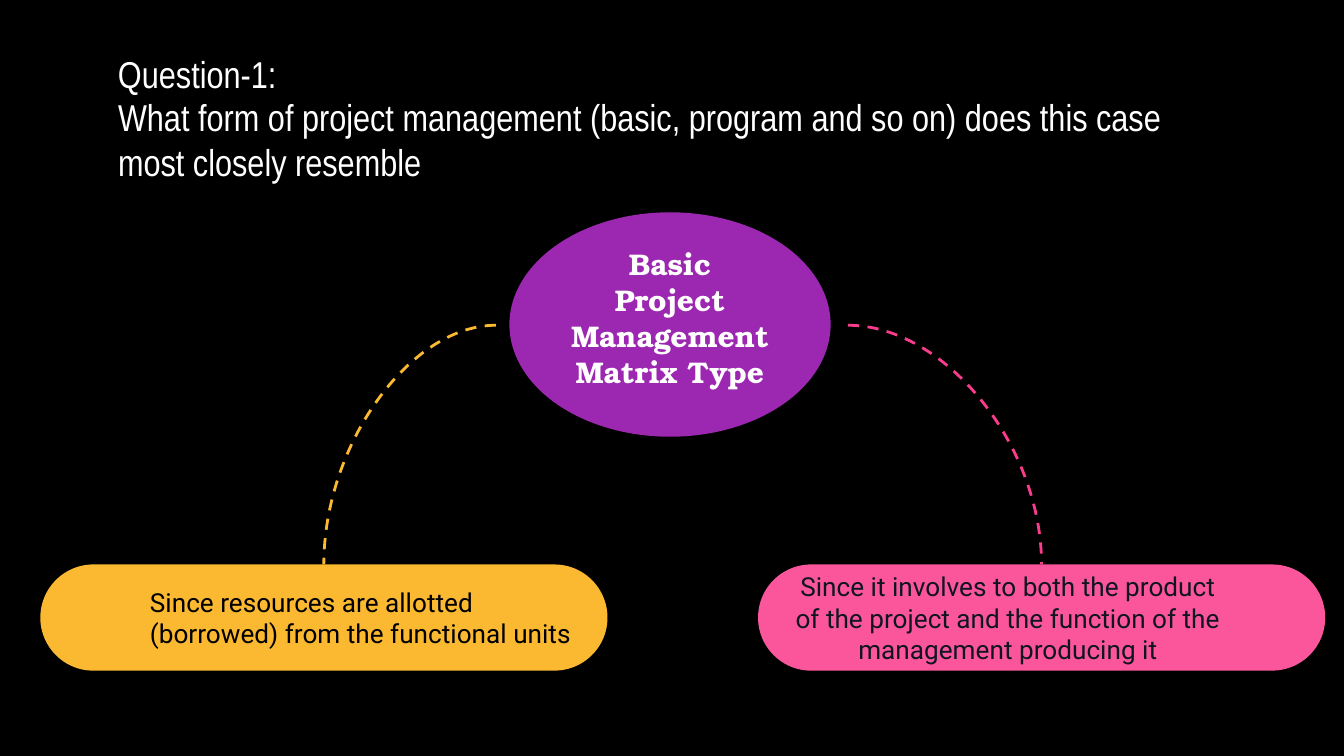
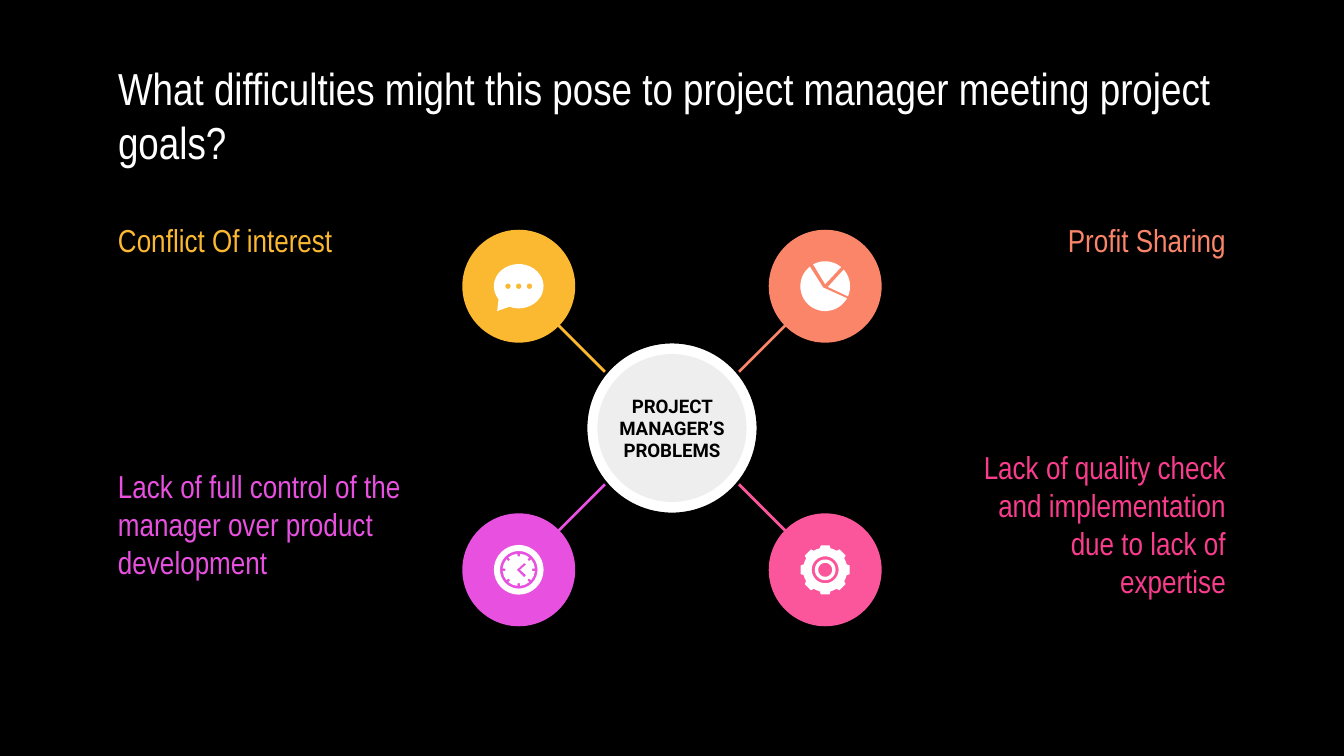
from math import cos, radians, sin

from pptx import Presentation
from pptx import util as u
from pptx.dml.color import RGBColor
from pptx.enum import dml, shapes, text
from pptx.oxml.ns import qn

# The slide is a grid of square cells, 100 columns wide.
COLUMNS, ROWS = 100, 56.25
CELL = u.Inches(0.1)

BLACK = RGBColor(0x00, 0x00, 0x00)
WHITE = RGBColor(0xFF, 0xFF, 0xFF)
NAVY = RGBColor(0x10, 0x14, 0x23)
GREY = RGBColor(0xEE, 0xEE, 0xEE)
AMBER = RGBColor(0xFB, 0xB8, 0x31)
CORAL = RGBColor(0xFB, 0x85, 0x69)
PINK = RGBColor(0xFB, 0x56, 0x9C)
DEEP_PINK = RGBColor(0xFA, 0x3C, 0x8D)
MAGENTA = RGBColor(0xE8, 0x50, 0xE0)
PURPLE = RGBColor(0x9C, 0x27, 0xB0)

HEADING_FONT = "Arial Narrow"
BODY_FONT = "Roboto"
HUB_FONT = "TeX Gyre Bonum"

LEFT, CENTER, RIGHT = text.PP_ALIGN.LEFT, text.PP_ALIGN.CENTER, text.PP_ALIGN.RIGHT
OVAL = shapes.MSO_SHAPE.OVAL
PILL = shapes.MSO_SHAPE.ROUNDED_RECTANGLE

MARGIN = 7.8
HUB_X, HUB_Y = 50, 31.85
PETAL_DX, PETAL_DY = 11.4, 10.55


def cells(*values):
    return [round(value * CELL) for value in values]


def around(x, y, width, height):
    """Left, top, width and height of an area centred on a point."""
    return x - width / 2, y - height / 2, width, height


def write(shape, words, size, font=HEADING_FONT, color=WHITE, align=LEFT,
          bold=False, insets=(1, 1, 1, 1), wrap=True):
    """Put one paragraph in a shape; insets run left, top, right, bottom."""
    frame = shape.text_frame
    frame.word_wrap = wrap
    frame.vertical_anchor = text.MSO_ANCHOR.MIDDLE
    (frame.margin_left, frame.margin_top,
     frame.margin_right, frame.margin_bottom) = cells(*insets)
    para = frame.paragraphs[0]
    para.text = words
    para.alignment = align
    for span in para.runs:
        span.font.name = font
        span.font.size = u.Pt(size)
        span.font.bold = bold
        span.font.color.rgb = color


def add_text(page, area, words, size, **style):
    write(page.shapes.add_textbox(*cells(*area)), words, size, **style)


def paint(shape, fill, outline=None):
    shape.shadow.inherit = False
    shape.fill.solid()
    shape.fill.fore_color.rgb = fill
    if outline is None:
        shape.line.fill.background()
    else:
        shape.line.color.rgb = outline
        shape.line.width = u.Pt(1.5)


def add_shape(page, kind, area, fill, outline=None):
    shape = page.shapes.add_shape(kind, *cells(*area))
    paint(shape, fill, outline)
    return shape


def add_pill(page, left, fill, words, **style):
    pill = add_shape(page, PILL, (left, 42, 42.2, 7.9), fill)
    pill.adjustments[0] = 0.5
    write(pill, words, 14, font=BODY_FONT, **style)


def add_link(page, start, end, color, curved=False):
    kind = shapes.MSO_CONNECTOR.CURVE if curved else shapes.MSO_CONNECTOR.STRAIGHT
    link = page.shapes.add_connector(kind, *cells(*start, *end))
    link.line.color.rgb = color
    link.line.width = u.Pt(1.5)
    properties = link._element.spPr
    if curved:
        link.line.dash_style = dml.MSO_LINE.DASH
        properties.find(qn("a:prstGeom")).set("prst", "curvedConnector2")
    properties.append(properties.makeelement(qn("a:effectLst"), {}))


def polar(angle, rx, ry=None):
    ry = rx if ry is None else ry
    return rx * cos(radians(angle)), ry * sin(radians(angle))


def arc(start, end, rx, ry=None, x=0, y=0):
    """Points along an arc, with angles clockwise from the right."""
    steps = 32
    angles = [start + (end - start) * step / steps for step in range(steps + 1)]
    return [(x + px, y + py) for px, py in (polar(angle, rx, ry) for angle in angles)]


def circle(radius, x=0, y=0):
    return arc(0, 360, radius, x=x, y=y)


def toothed(base, tip, base_half, tip_half):
    """Outline with eight teeth, or notches when the tip is nearer the centre."""
    profile = [(-base_half, base), (-tip_half, tip), (tip_half, tip),
               (base_half, base), (22.5, base)]
    return [polar(tooth * 45 + turn, radius)
            for tooth in range(8) for turn, radius in profile]


def add_outline(page, x, y, contours):
    """White freeform; contours inside the first one are holes."""
    paths = [[cells(x + px, y + py) for px, py in contour] for contour in contours]
    builder = page.shapes.build_freeform(*paths[0][0])
    for number, points in enumerate(paths):
        if number:
            builder.move_to(*points[0])
        builder.add_line_segments(points[1:], close=True)
    paint(builder.convert_to_shape(), WHITE)


def bubble_icon():
    balloon = arc(144, 472, 1.85, 1.65) + [(-1.6, 1.85)]
    return [[balloon] + [circle(0.2, x=x) for x in (-0.8, 0, 0.8)]]


def pie_icon():
    slices = [(232, 29, (-0.15, 0.1)), (241, 310, (0, -0.15)), (-42, 24, (0.2, 0.05))]
    return [[arc(start, end, 1.85) + [apex]] for start, end, apex in slices]


def clock_icon():
    hands = [(0.4, -0.5), (0.55, -0.4), (0.1, 0), (0.55, 0.4), (0.4, 0.55), (-0.15, 0)]
    return [[circle(1.85), circle(1.4)], [toothed(1.2, 1, 5, 5), hands]]


def gear_icon():
    return [[toothed(1.65, 1.85, 14, 10), circle(1)], [circle(0.77), circle(0.52)]]


def add_petal(page, side, level, color, icon):
    """Circle, spoke and icon; side is -1 left or 1 right, level -1 up or 1 down."""
    x, y = HUB_X + side * PETAL_DX, HUB_Y + level * PETAL_DY
    add_shape(page, OVAL, around(x, y, 8.4, 8.4), color)
    add_link(page, (HUB_X, HUB_Y - level * 0.8),
             (HUB_X + side * 8.45, HUB_Y + level * 7.65), color)
    for contours in icon:
        add_outline(page, x, y, contours)


def add_page(deck, title, top, size):
    page = deck.slides.add_slide(deck.slide_layouts[6])
    page.background.fill.solid()
    page.background.fill.fore_color.rgb = BLACK
    add_text(page, (MARGIN, top, 84.5, 5.3), title, size)
    return page


def build_question(deck):
    page = add_page(deck, "What form of project management (basic, program and so on) "
                    "does this case most closely resemble", 7.7, 20)
    add_text(page, (MARGIN, 3.3, 14.3, 4.4), "Question-1:", 20, wrap=False)
    add_pill(page, 3, AMBER, "Since resources are allotted (borrowed) from the "
             "functional units", color=BLACK, insets=(7, 1, 1, 1))
    add_pill(page, 56.4, PINK, "Since it involves to both the product of the project and "
             "the function of the management producing it",
             color=NAVY, align=CENTER, insets=(1, 1, 6, 1))
    hub = add_shape(page, OVAL, (37.9, 15.8, 23.9, 16.7), PURPLE)
    write(hub, "Basic\vProject\vManagement\vMatrix Type", 16, font=HUB_FONT,
          align=CENTER, bold=True, insets=(0, 0, 0, 1))
    add_link(page, (36.9, 24.2), (24.1, 42), AMBER, curved=True)
    add_link(page, (63.1, 24.2), (77.5, 42), DEEP_PINK, curved=True)


def build_difficulties(deck):
    page = add_page(deck, "What difficulties might this pose to project manager "
                    "meeting project goals?", 5.9, 24)
    petals = [(1, 1, PINK, gear_icon()), (1, -1, CORAL, pie_icon()),
              (-1, -1, AMBER, bubble_icon()), (-1, 1, MAGENTA, clock_icon())]
    for petal in petals:
        add_petal(page, *petal)

    upper, lower, right_edge = 15.9, 37, 92.2
    labels = [
        ("Lack of quality check and implementation due to lack of expertise",
         right_edge - 20.6, lower, 20.6, DEEP_PINK, RIGHT),
        ("Profit Sharing", right_edge - 20.6, upper, 20.6, CORAL, RIGHT),
        ("Conflict Of interest", MARGIN, upper, 20.6, AMBER, LEFT),
        ("Lack of full control of the manager over product development",
         MARGIN, lower, 23.4, MAGENTA, LEFT),
    ]
    for words, left, top, width, color, align in labels:
        add_text(page, (left, top, width, 3.9), words, 17, color=color, align=align)

    add_shape(page, OVAL, around(HUB_X, HUB_Y, 12.8, 12.8), WHITE, outline=BLACK)
    hub = add_shape(page, OVAL, around(HUB_X, HUB_Y, 11.1, 11), GREY)
    write(hub, "PROJECT MANAGER’S PROBLEMS", 10, font=BODY_FONT, color=BLACK,
          align=CENTER, bold=True, insets=(0, 1, 0, 1))


def main():
    deck = Presentation()
    deck.slide_width, deck.slide_height = cells(COLUMNS, ROWS)
    build_question(deck)
    build_difficulties(deck)
    deck.save("out.pptx")


if __name__ == "__main__":
    main()
